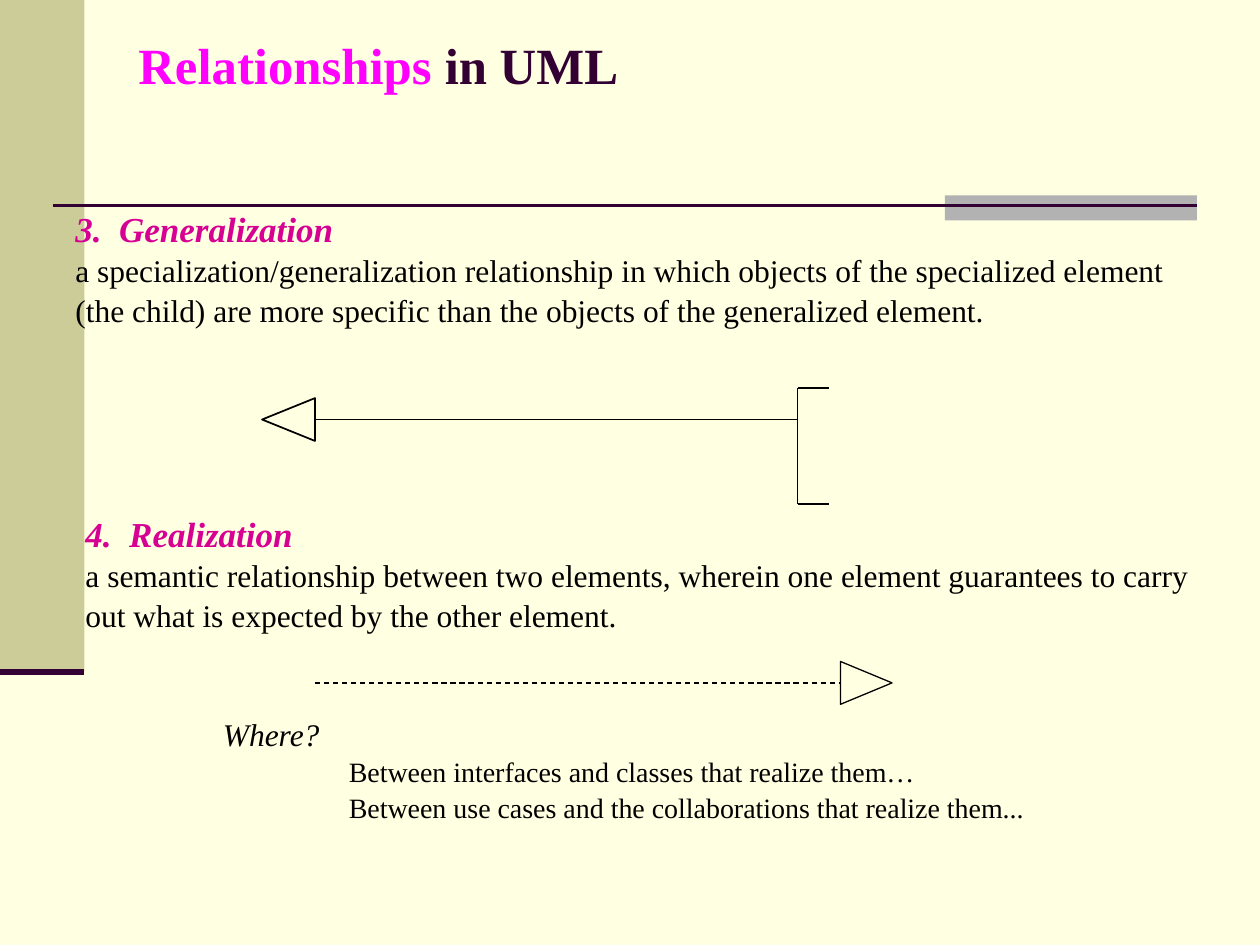
from dataclasses import dataclass
from typing import NamedTuple

from lxml import etree
from pptx import Presentation
from pptx.dml.color import RGBColor
from pptx.enum import dml, shapes, text
from pptx.oxml import ns
from pptx.util import Inches, Pt


@dataclass(frozen=True)
class Theme:
    font: str = "Times New Roman"
    back: str = "FFFFE1"
    side: str = "CCCC99"
    tab: str = "B2B2B2"
    dark: str = "330033"
    pink: str = "FF00FF"
    head: str = "D60093"
    ink: str = "000000"
    title: int = 29
    large: int = 20
    body: int = 18
    small: int = 16
    thin: float = 0.75
    pitch: float = 1.05


T = Theme()


class Run(NamedTuple):
    words: str
    size: int = T.body
    color: str = T.ink
    bold: bool = False
    slant: bool = False


class Box(NamedTuple):
    left: float
    top: float
    width: float
    height: float


class Line(NamedTuple):
    x1: float
    y1: float
    x2: float
    y2: float
    color: str = T.ink
    weight: float = T.thin
    dashed: bool = False


class Head(NamedTuple):
    """A hollow arrowhead: its tip, and the x of its upright side."""
    tip: float
    base: float
    mid: float
    weight: float


def rgb(code: str) -> RGBColor:
    return RGBColor.from_string(code)


def draw_bar(slide, box: Box, color: str) -> None:
    bar = slide.shapes.add_shape(shapes.MSO_SHAPE.RECTANGLE, *map(Inches, box))
    bar.shadow.inherit = False
    bar.fill.solid()
    bar.fill.fore_color.rgb = rgb(color)
    bar.line.fill.background()


def draw_line(slide, spec: Line) -> None:
    ends = map(Inches, spec[:4])
    line = slide.shapes.add_connector(shapes.MSO_CONNECTOR.STRAIGHT, *ends)
    line.line.color.rgb = rgb(spec.color)
    line.line.width = Pt(spec.weight)
    if spec.dashed:
        line.line.dash_style = dml.MSO_LINE.DASH
    etree.SubElement(line._element.spPr, ns.qn("a:effectLst"))


def draw_head(slide, head: Head, half: float = 0.17) -> None:
    pen = slide.shapes.build_freeform(Inches(head.tip), Inches(head.mid))
    sides = [(head.base, head.mid - half), (head.base, head.mid + half)]
    pen.add_line_segments([(Inches(x), Inches(y)) for x, y in sides], close=True)
    shape = pen.convert_to_shape()
    shape.shadow.inherit = False
    shape.fill.background()
    shape.line.color.rgb = rgb(T.ink)
    shape.line.width = Pt(head.weight)


def set_tabs(para, count: int = 8) -> None:
    """Put a left tab stop at every inch."""
    stops = etree.SubElement(para._p.get_or_add_pPr(), ns.qn("a:tabLst"))
    for inch in range(count):
        etree.SubElement(stops, ns.qn("a:tab"), pos=str(Inches(inch)), algn="l")


def draw_text(slide, box: Box, paras: list[list[Run]], pitch: float = T.pitch,
              anchor=text.MSO_ANCHOR.TOP) -> None:
    frame = slide.shapes.add_textbox(*map(Inches, box)).text_frame
    frame.word_wrap = True
    frame.vertical_anchor = anchor
    for i, runs in enumerate(paras):
        para = frame.paragraphs[0] if i == 0 else frame.add_paragraph()
        para.line_spacing = pitch
        set_tabs(para)
        for item in runs:
            run = para.add_run()
            run.text = item.words
            font = run.font
            font.name, font.size = T.font, Pt(item.size)
            font.bold, font.italic = item.bold, item.slant
            font.color.rgb = rgb(item.color)


def draw_topic(slide, box: Box, name: str, words: str) -> None:
    title = Run(name, T.large, T.head, True, True)
    draw_text(slide, box, [[title], [Run(words)]])


def main() -> None:
    deck = Presentation()
    deck.slide_width, deck.slide_height = Inches(10), Inches(7.5)
    slide = deck.slides.add_slide(deck.slide_layouts[6])
    slide.background.fill.solid()
    slide.background.fill.fore_color.rgb = rgb(T.back)

    draw_bar(slide, Box(0, 0, 0.67, 5.33), T.side)
    draw_bar(slide, Box(7.5, 1.55, 2, 0.2), T.tab)
    draw_line(slide, Line(0.42, 1.63, 9.5, 1.63, T.dark, 1.5))
    draw_line(slide, Line(0, 5.33, 0.67, 5.33, T.dark, 3.5))

    draw_text(slide, Box(1, 0.3, 8.5, 0.42), [[
        Run("Relationships", T.title, T.pink, True),
        Run(" in UML", T.title, T.dark, True),
    ]], 1.0, text.MSO_ANCHOR.MIDDLE)

    draw_topic(slide, Box(0.5, 1.58, 9, 1.34), "3.  Generalization",
               "a specialization/generalization relationship in which objects "
               "of the specialized element (the child) are more specific than "
               "the objects of the generalized element.")
    draw_topic(slide, Box(0.58, 4, 9, 1.34), "4.  Realization",
               "a semantic relationship between two elements, wherein one "
               "element guarantees to carry out what is expected by the other "
               "element.")
    draw_text(slide, Box(0.67, 5.58, 8.92, 1), [
        [Run("\t", T.large, slant=True), Run("Where?", slant=True)],
        [Run("\t\tBetween interfaces and classes that realize them…", T.small)],
        [Run("\t\tBetween use cases and the collaborations that realize them...",
             T.small)],
    ])

    fork, low, high = 6.33, 4, 3.08
    draw_line(slide, Line(2.5, 3.33, fork, 3.33))
    draw_line(slide, Line(fork, high, fork, low))
    for y in (high, low):
        draw_line(slide, Line(fork, y, fork + 0.25, y))
    draw_head(slide, Head(2.08, 2.5, 3.33, 1))

    draw_line(slide, Line(2.5, 5.42, 6.67, 5.42, dashed=True))
    draw_head(slide, Head(7.08, 6.67, 5.42, T.thin))

    deck.save("out.pptx")


if __name__ == "__main__":
    main()
